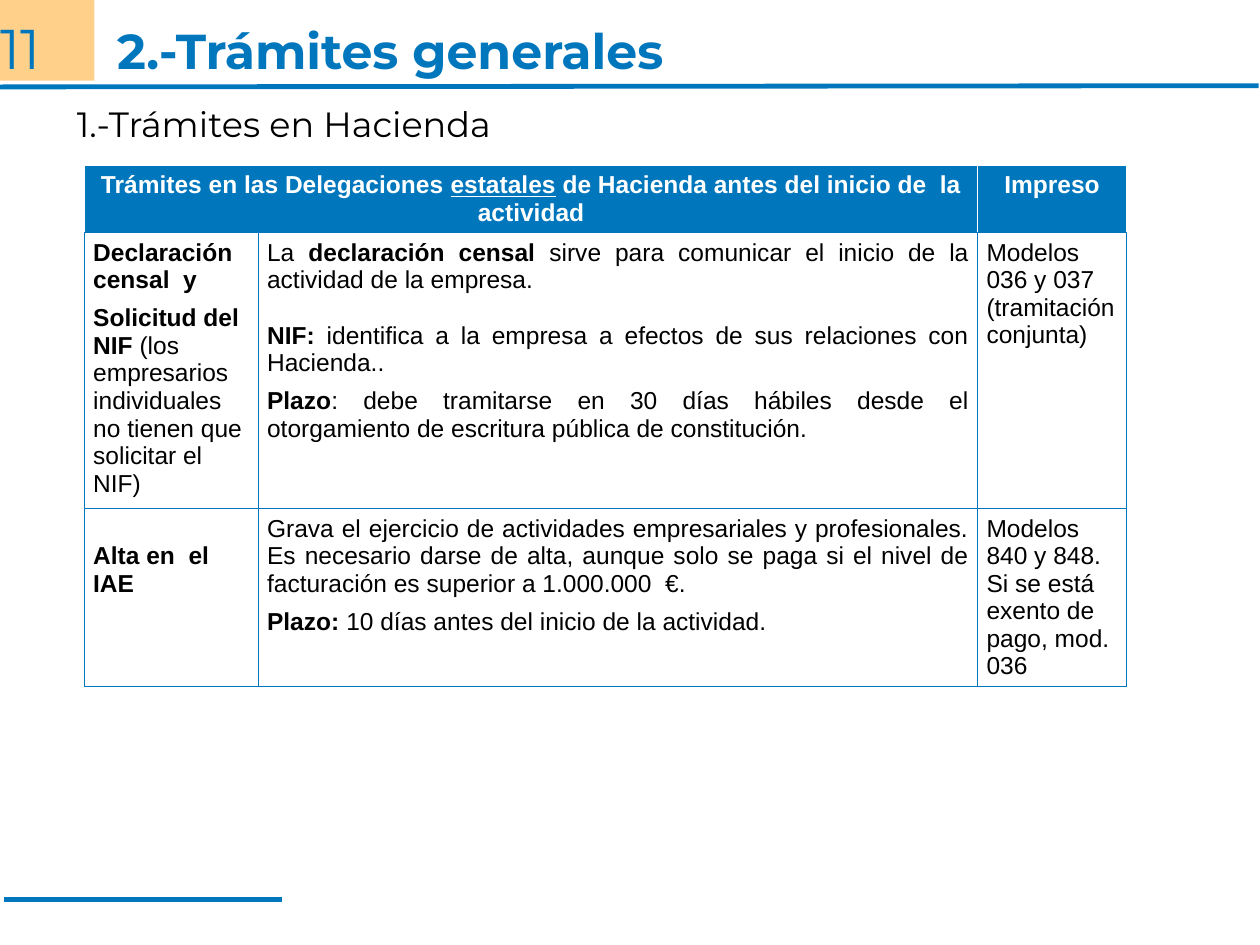
"""Build the slide on the general procedures at the tax office."""

from dataclasses import dataclass
from typing import NamedTuple

from lxml.etree import SubElement
from pptx import Presentation
from pptx.dml.color import RGBColor
from pptx.enum.shapes import MSO_CONNECTOR as Connector, MSO_SHAPE as Preset
from pptx.enum.text import MSO_ANCHOR as Anchor, MSO_AUTO_SIZE as AutoSize, PP_ALIGN as Align
from pptx.oxml.ns import qn
from pptx.util import Inches, Pt

COLORS = {"blue": "0077BD", "orange": "FF9900", "white": "FFFFFF", "black": "000000"}
HEADING_FONT, TABLE_FONT = "Montserrat", "Arial"


class Span(NamedTuple):
    text: str
    bold: bool = False
    underline: bool = False


@dataclass
class Para:
    spans: list[Span]
    align: Align = Align.LEFT
    before: float = 0
    after: float = 0


@dataclass
class Cell:
    paras: list[Para]
    top: float = 0.05


@dataclass
class Rule:
    start: tuple[float, float]
    end: tuple[float, float]


RULES = [Rule((-0.01, 0.69), (9.99, 0.68)), Rule((0.03, 7.14), (2.24, 7.14))]
COLUMN_WIDTHS = [1.38, 5.71, 1.18]
ROW_HEIGHTS = [0.53, 2.19, 1.4]

HEADER = [
    Cell([Para([Span("Trámites en las Delegaciones ", True),
                Span("estatales", True, True),
                Span(" de Hacienda antes del inicio de  la actividad", True)], Align.CENTER)]),
    Cell([]),
    Cell([Para([Span("Impreso", True)], Align.CENTER)]),
]
CENSUS = [
    Cell([Para([Span("Declaración censal  y", True)], Align.JUSTIFY, after=6),
          Para([Span("Solicitud del NIF ", True), Span("(los empresarios")]),
          Para([Span("individuales no tienen que solicitar el NIF)")])]),
    Cell([Para([Span("La "), Span("declaración censal ", True),
                Span("sirve para comunicar el inicio de la actividad de la empresa.")],
               Align.JUSTIFY),
          Para([Span("NIF: ", True),
                Span("identifica a la empresa a efectos de sus relaciones con Hacienda..")],
               Align.JUSTIFY, before=16, after=6),
          Para([Span("Plazo", True),
                Span(": debe tramitarse en 30 días hábiles desde el otorgamiento de "
                     "escritura pública de constitución.")], Align.JUSTIFY)]),
    Cell([Para([Span("Modelos")]), Para([Span("036 y 037")]), Para([Span("(tramitación")]),
          Para([Span("conjunta)")], Align.JUSTIFY)]),
]
BUSINESS_TAX = [
    Cell([Para([Span("Alta en  el IAE", True)])], top=0.27),
    Cell([Para([Span("Grava el ejercicio de actividades empresariales y profesionales. "
                     "Es necesario darse de alta, aunque solo se paga si el nivel de "
                     "facturación es superior a 1.000.000  €.")], Align.JUSTIFY, after=6),
          Para([Span("Plazo: ", True), Span("10 días antes del inicio de la actividad.")],
               Align.JUSTIFY)]),
    Cell([Para([Span("Modelos 840 y 848. Si se está exento de pago, mod. 036")])]),
]


def rgb(color: str) -> RGBColor:
    return RGBColor.from_string(COLORS[color])


def style_font(font, name: str, size: float, color: str) -> None:
    font.name, font.size = name, Pt(size)
    font.color.rgb = rgb(color)


def place(shape, left: float, top: float, width: float, height: float) -> None:
    shape.left, shape.top = Inches(left), Inches(top)
    shape.width, shape.height = Inches(width), Inches(height)


def draw_rule(slide, rule: Rule) -> None:
    line = slide.shapes.add_connector(
        Connector.STRAIGHT, *map(Inches, rule.start), *map(Inches, rule.end))
    line.line.color.rgb = rgb("blue")
    line.line.width = Pt(2.75)
    SubElement(line._element.spPr, qn("a:effectLst"))


def draw_page_number(slide) -> None:
    badge = slide.shapes.add_shape(Preset.RECTANGLE, 0, 0, Inches(0.75), Inches(0.64))
    badge.shadow.inherit = False
    badge.fill.solid()
    badge.fill.fore_color.rgb = rgb("orange")
    tint = badge._element.spPr.find(qn("a:solidFill"))[0]
    SubElement(tint, qn("a:alpha"), val="46000")
    badge.line.fill.background()
    frame = badge.text_frame
    frame.margin_left = frame.margin_right = frame.margin_top = frame.margin_bottom = 0
    frame.vertical_anchor = Anchor.TOP
    number = frame.paragraphs[0]
    number.text = "11"
    number.alignment, number.line_spacing = Align.LEFT, 1.2
    style_font(number.font, HEADING_FONT, 32, "blue")


def fill_headings(slide) -> None:
    title, body = slide.shapes.title, slide.placeholders[1]
    place(title, 0.83, 0.21, 8.19, 0.38)
    place(body, 0.51, 0.76, 9.06, 5.97)
    title.text_frame.text = "2.-Trámites generales"
    title.text_frame.vertical_anchor = Anchor.MIDDLE
    body.text_frame.text = "1.-Trámites en Hacienda"
    for holder in (title, body):
        holder.text_frame.auto_size = AutoSize.NONE
    heading, subtitle = title.text_frame.paragraphs[0], body.text_frame.paragraphs[0]
    heading.alignment = Align.LEFT
    style_font(heading.font, HEADING_FONT, 28, "blue")
    heading.font.bold = True
    subtitle.space_before = Pt(0)
    props = subtitle._p.get_or_add_pPr()
    props.set("marL", "0")
    props.set("indent", "0")
    SubElement(props, qn("a:buNone"))
    style_font(subtitle.font, HEADING_FONT, 20, "black")


def write_paragraph(paragraph, content: Para, color: str) -> None:
    paragraph.alignment = content.align
    paragraph.space_before, paragraph.space_after = Pt(content.before), Pt(content.after)
    style_font(paragraph.font, TABLE_FONT, 14, color)
    for span in content.spans:
        run = paragraph.add_run()
        run.text = span.text
        run.font.bold, run.font.underline = span.bold, span.underline


def set_borders(cell, color: str) -> None:
    props = cell._tc.get_or_add_tcPr()
    for index, side in enumerate(("lnL", "lnR", "lnT", "lnB")):
        border = props.makeelement(qn(f"a:{side}"), {"w": str(Pt(0.45))})
        SubElement(SubElement(border, qn("a:solidFill")), qn("a:srgbClr"), val=COLORS[color])
        props.insert(index, border)


def fill_cell(cell, content: Cell, is_header: bool) -> None:
    cell.margin_left = cell.margin_right = Inches(0.07)
    cell.margin_top, cell.margin_bottom = Inches(content.top), Inches(0.05)
    if is_header:
        cell.fill.solid()
        cell.fill.fore_color.rgb = rgb("blue")
    else:
        cell.fill.background()
    set_borders(cell, "white" if is_header else "blue")
    frame = cell.text_frame
    for index, para in enumerate(content.paras):
        paragraph = frame.add_paragraph() if index else frame.paragraphs[0]
        write_paragraph(paragraph, para, "white" if is_header else "black")


def draw_table(slide, rows: list[list[Cell]]) -> None:
    table = slide.shapes.add_table(
        len(rows), len(COLUMN_WIDTHS), Inches(0.67), Inches(1.31),
        Inches(sum(COLUMN_WIDTHS)), Inches(sum(ROW_HEIGHTS))).table
    for column, width in zip(table.columns, COLUMN_WIDTHS):
        column.width = Inches(width)
    for row, height in zip(table.rows, ROW_HEIGHTS):
        row.height = Inches(height)
    table.cell(0, 0).merge(table.cell(0, 1))
    for r, row in enumerate(rows):
        for c, content in enumerate(row):
            fill_cell(table.cell(r, c), content, r == 0)


def main() -> None:
    deck = Presentation()
    deck.slide_width, deck.slide_height = Inches(10), Inches(7.5)
    slide = deck.slides.add_slide(deck.slide_layouts[1])
    for rule in RULES:
        draw_rule(slide, rule)
    draw_page_number(slide)
    fill_headings(slide)
    draw_table(slide, [HEADER, CENSUS, BUSINESS_TAX])
    deck.save("out.pptx")


if __name__ == "__main__":
    main()
